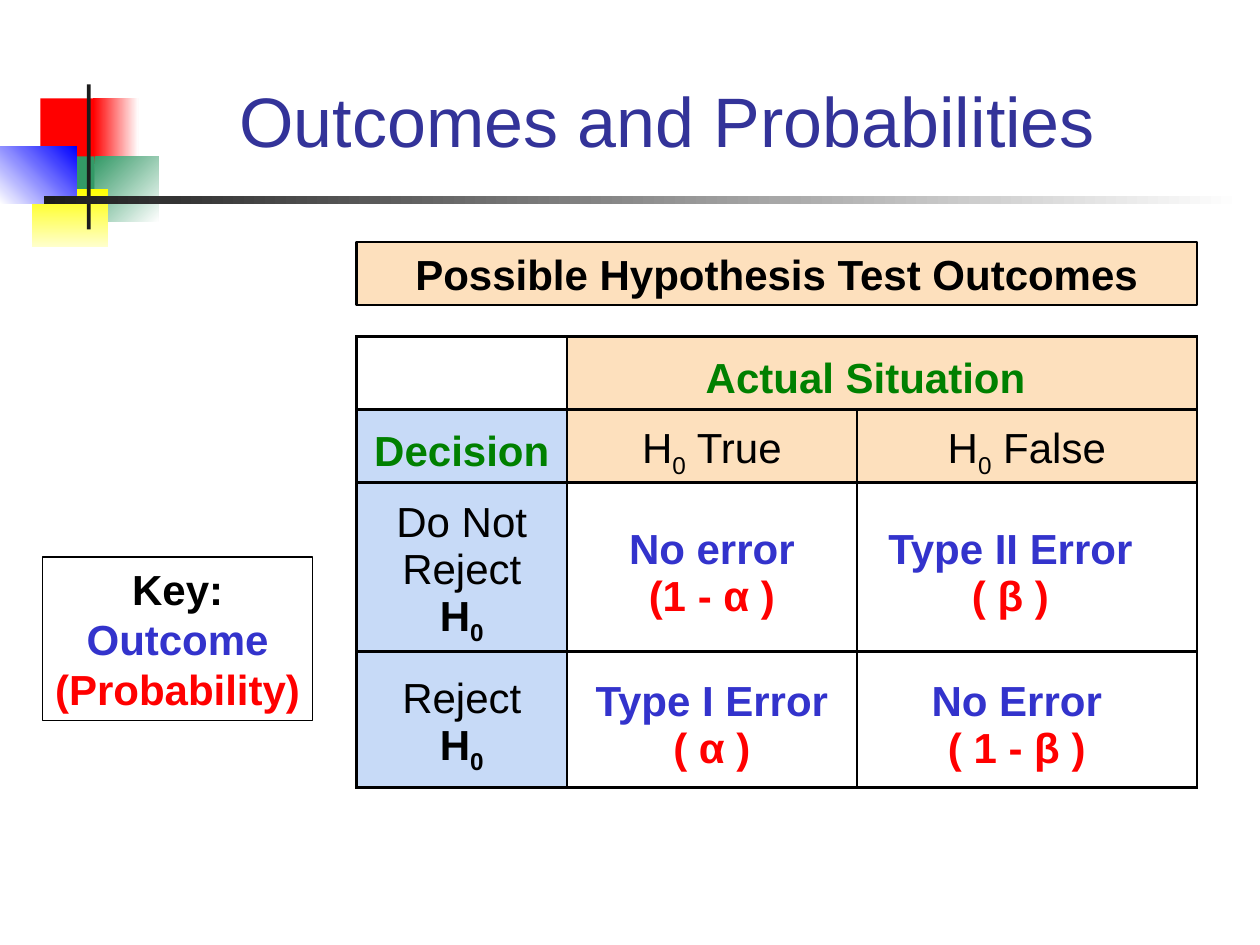
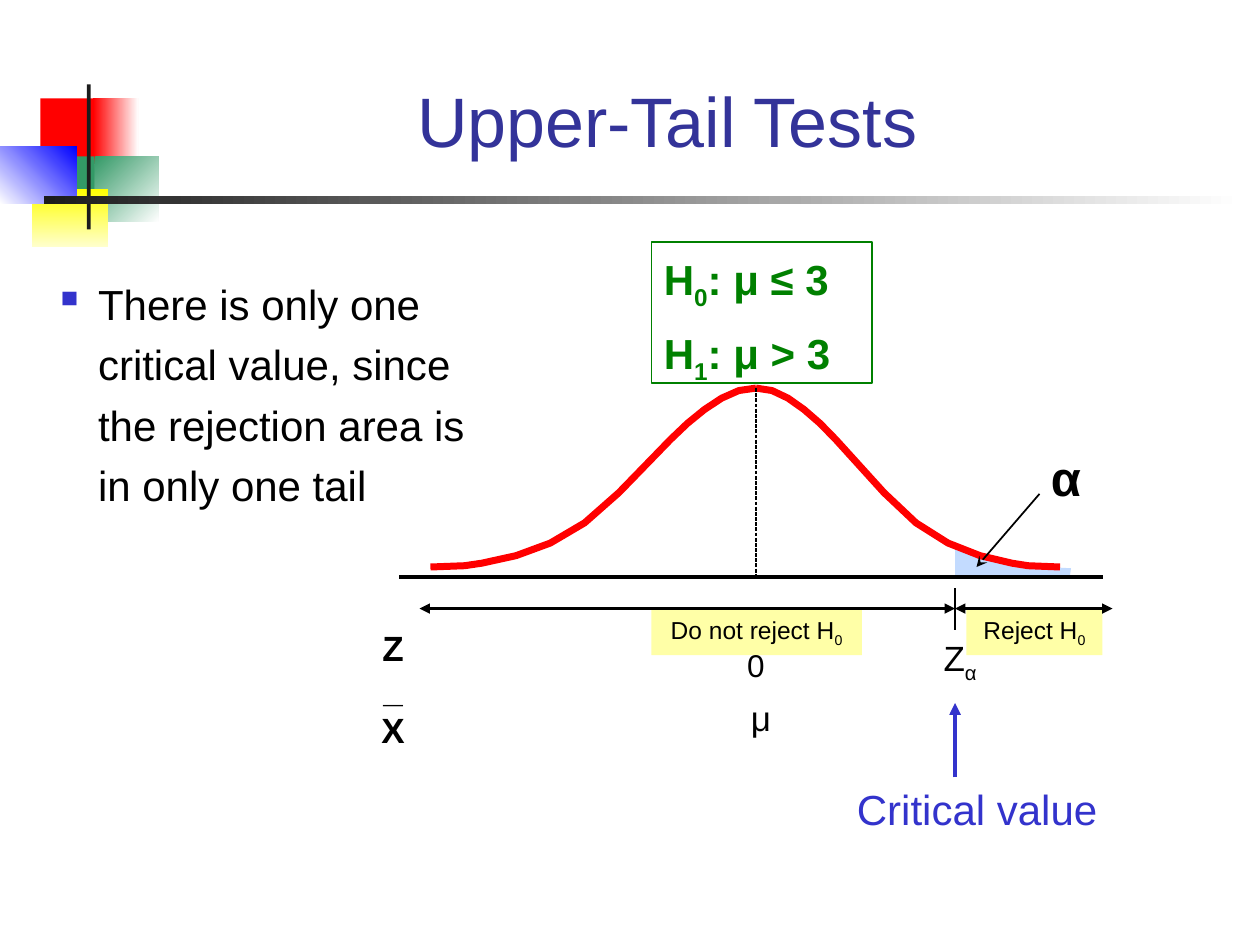
from lxml.etree import SubElement
from pptx import Presentation
from pptx.dml.color import RGBColor
from pptx.enum.dml import MSO_LINE as Dash
from pptx.enum.shapes import MSO_CONNECTOR as Conn, MSO_SHAPE as Shape
from pptx.enum.text import MSO_ANCHOR as Anchor, MSO_AUTO_SIZE as Fit, PP_ALIGN as Align
from pptx.oxml.ns import qn
from pptx.util import Inches, Pt

FONT = "Arial"
HUES = {
    "title": "333399", "ink": "000000", "blue": "3333CC", "red": "FF0000",
    "green": "008000", "peach": "FDE0BD", "sky": "C7DAF7", "white": "FFFFFF",
    "note": "FFFFA7", "tail": "C3DBFF", "dark": "1C1C1C", "leaf": "339966",
    "sun": "FFFF00", "cream": "FFFFCC", "royal": "0000FF",
}

# Shared band: left, top, width, height, colour(s), clockwise angle
BAND = [
    (0.32, 0.78, 0.48, 0.52, ["red"], 0),
    (0.74, 0.78, 0.36, 0.52, ["red", "white"], 0),
    (0.75, 1.24, 0.51, 0.52, ["leaf", "white"], 45),
    (0.43, 1.24, 0.32, 0.52, ["leaf"], 0),
    (0.25, 1.5, 0.61, 0.46, ["sun", "cream"], 90),
    (0, 1.16, 0.61, 0.46, ["white", "royal"], 315),
    (0.69, 0.67, 0.03, 1.15, ["dark"], 0),
    (0.35, 1.56, 9.51, 0.06, ["dark", "white"], 0),
]

# Text lines are (runs, colour, bold); a run that starts with ~ is a subscript
BANNER = [(["Possible Hypothesis Test Outcomes"], "ink", True)]
KEY = [(["Key:"], "ink", True), (["Outcome"], "blue", True),
       (["(Probability)"], "red", True)]
NULL = (["H", "~0"], "ink", True)


def result(name, odds):
    return [([name], "blue", True), ([odds], "red", True)]


# Outcome table: each cell is (fill, extra right margin, lines)
COLS = [1.67, 2.3, 2.7]
ROWS = [0.58, 0.58, 1.34, 1.08]
CELLS = [
    [("white", 0, []),
     ("peach", 0.26, [(["Actual Situation"], "green", True)]),
     ("peach", 0, [])],
    [("sky", 0, [(["Decision"], "green", True)]),
     ("peach", 0, [(["H", "~0", " True"], "ink", False)]),
     ("peach", 0, [(["H", "~0", " False"], "ink", False)])],
    [("sky", 0, [(["Do Not"], "ink", False), (["Reject"], "ink", False), NULL]),
     ("white", 0, result("No error", "(1 - α )")),
     ("white", 0.26, result("Type II Error", "( β )"))],
    [("sky", 0, [(["Reject"], "ink", False), NULL]),
     ("white", 0, result("Type I Error", "( α )")),
     ("white", 0.16, result("No Error", "( 1 - β )"))],
]

# Upper-tail curve: steps away from the mean, heights, step width per side
MEAN, CUT, BASE, ARROW = 6, 7.58, 4.58, 4.83
STEPS = [19, 17, 16, 15, 14, 13, 12, 10, 8, 6, 5, 4, 3, 2, 1, 0]
YS = [4.5, 4.49, 4.47, 4.44, 4.41, 4.36, 4.31, 4.15,
      3.91, 3.63, 3.49, 3.36, 3.25, 3.16, 3.1, 3.08]
SIDES = [-0.136, 0.127]
TAIL = [(8.49, BASE), (8.5, 4.51), (8.1, 4.49), (7.83, 4.42),
        (7.71, 4.4), (CUT, 4.33), (CUT, BASE)]
HYPS = [(["H", "~0", ": μ ≤ 3"], "green", True),
        (["H", "~1", ": μ > 3"], "green", True)]
POINT = ("There is only one critical value, since the rejection area "
         "is in only one tail")

# Yellow labels: place, runs
NOTES = [((7.67, ARROW, 1.08, 0.37), ["Reject H", "~0"]),
         ((5.17, ARROW, 1.67, 0.37), ["Do not reject H", "~0"])]
# Lines: from, to, colour, width, head, tail, dash
LINES = [
    ((3.17, BASE), (8.75, BASE), "ink", 2, None, None, None),
    ((8.25, 3.92), (7.75, 4.5), "ink", 1, None, "stealth", None),
    ((MEAN, YS[-1]), (MEAN, BASE), "ink", 0.75, None, None, Dash.SQUARE_DOT),
    ((CUT, 4.67), (CUT, 5), "ink", 1.5, None, None, None),
    ((CUT, ARROW), (8.83, ARROW), "ink", 1.5, "triangle", "triangle", None),
    ((3.33, ARROW), (CUT, ARROW), "ink", 1.5, "triangle", "triangle", None),
    ((CUT, 6.17), (CUT, 5.58), "blue", 2.25, None, "triangle", None),
]
# Loose marks: place, runs, size, colour, bold
MARKS = [
    ((8.17, 3.5, 0.58, 0.56), ["α"], 28, "ink", True),
    ((7.33, 5, 0.58, 0.48), ["Z", "~α"], 20, "ink", False),
    ((5.75, 5.08, 0.5, 0.4), ["0"], 18, "ink", False),
    ((5.75, 5.48, 0.58, 0.44), ["μ"], 20, "ink", False),
    ((6.67, 6.17, 2.17, 0.5), ["Critical value"], 24, "blue", False),
    ((2.83, 4.92, 0.58, 0.44), ["Z"], 20, "ink", True),
    ((2.83, 5.57, 0.58, 0.44), ["X"], 20, "ink", True),
    ((2.83, 5.25, 0.58, 0.44), ["_"], 20, "ink", True),
]


def rgb(name):
    return RGBColor.from_string(HUES[name])


def inch(nums):
    return [Inches(n) for n in nums]


def write(frame, lines, size=24, align=Align.CENTER):
    """Fill a text frame run by run, one paragraph per line."""
    for i, (runs, hue, bold) in enumerate(lines):
        para = frame.add_paragraph() if i else frame.paragraphs[0]
        para.alignment = align
        for text in runs:
            run = para.add_run()
            run.text = text.lstrip("~")
            font = run.font
            font.name, font.size, font.bold = FONT, Pt(size), bold
            font.color.rgb = rgb(hue)
            if text.startswith("~"):
                run._r.get_or_add_rPr().set("baseline", "-25000")


def paint(shape, fill=None, line=None, width=0.75):
    shape.shadow.inherit = False
    if fill:
        shape.fill.solid()
        shape.fill.fore_color.rgb = rgb(fill)
    else:
        shape.fill.background()
    if line:
        shape.line.color.rgb = rgb(line)
        shape.line.width = Pt(width)
    else:
        shape.line.fill.background()


def panel(slide, at, lines, fill=None, line=None, width=0.75, **text):
    box = slide.shapes.add_shape(Shape.RECTANGLE, *inch(at))
    paint(box, fill, line, width)
    box.text_frame.word_wrap = True
    box.text_frame.vertical_anchor = Anchor.TOP
    write(box.text_frame, lines, **text)
    return box


def label(slide, at, lines, **text):
    box = slide.shapes.add_textbox(*inch(at))
    box.text_frame.word_wrap = True
    write(box.text_frame, lines, **text)
    return box


def trace(slide, spots, close):
    dots = [inch(spot) for spot in spots]
    pen = slide.shapes.build_freeform(*dots[0])
    pen.add_line_segments(dots[1:], close=close)
    return pen.convert_to_shape()


def rule(slide, start, end, hue, width, head, tail, dash):
    link = slide.shapes.add_connector(Conn.STRAIGHT, *inch(start + end))
    link.line.color.rgb = rgb(hue)
    link.line.width = Pt(width)
    if dash:
        link.line.dash_style = dash
    props = link.element.spPr
    for tag, kind in (("a:headEnd", head), ("a:tailEnd", tail)):
        if kind:
            SubElement(props.find(qn("a:ln")), qn(tag), type=kind)
    SubElement(props, qn("a:effectLst"))


def start(deck, title):
    """Add a slide with the shared title style."""
    slide = deck.slides.add_slide(deck.slide_layouts[5])
    head = slide.shapes.title
    head.left, head.top, head.width, head.height = inch((1.26, 0.25, 8.07, 1.08))
    frame = head.text_frame
    frame.auto_size, frame.vertical_anchor = Fit.NONE, Anchor.BOTTOM
    write(frame, [([title], "title", False)], size=40)
    return slide


def dress(deck, slide):
    """Draw the band and move it to the layout that all slides use."""
    tree = deck.slide_layouts[5].shapes.element
    for *at, hues, angle in BAND:
        box = slide.shapes.add_shape(Shape.RECTANGLE, *inch(at))
        paint(box, hues[0])
        if len(hues) == 2:
            box.fill.gradient()
            box.fill.gradient_angle = (360 - angle) % 360
            for stop, hue in zip(box.fill.gradient_stops, hues):
                stop.color.rgb = rgb(hue)
        tree.append(box.element)


def edge(cell):
    props = cell._tc.get_or_add_tcPr()
    for side in "LRTB":
        line = SubElement(props, qn("a:ln" + side), w=str(Pt(1.5)))
        SubElement(SubElement(line, qn("a:solidFill")), qn("a:srgbClr"),
                   val=HUES["ink"])


def grid(slide):
    at = (2.83, 2.67, sum(COLS), sum(ROWS))
    table = slide.shapes.add_table(len(ROWS), len(COLS), *inch(at)).table
    table.first_row = table.horz_banding = False
    for col, width in zip(table.columns, COLS):
        col.width = Inches(width)
    for r, row in enumerate(CELLS):
        table.rows[r].height = Inches(ROWS[r])
        for c, (fill, shift, lines) in enumerate(row):
            cell = table.cell(r, c)
            edge(cell)
            cell.fill.solid()
            cell.fill.fore_color.rgb = rgb(fill)
            cell.vertical_anchor = Anchor.MIDDLE
            cell.margin_left, cell.margin_right = inch((0.02, 0.02 + shift))
            cell.margin_top, cell.margin_bottom = inch((0.1, 0))
            write(cell.text_frame, lines)
    table.cell(0, 1).merge(table.cell(0, 2))


def outcomes(slide):
    panel(slide, (2.83, 1.92, 6.67, 0.5), BANNER, "peach", "ink", 1.5)
    grid(slide)
    key = panel(slide, (0.34, 4.42, 2.14, 1.3), KEY, None, "ink")
    key.text_frame.word_wrap = False


def upper(slide):
    # Labels, shaded tail and curve
    for at, runs in NOTES:
        panel(slide, at, [(runs, "ink", False)], "note", size=14)
    paint(trace(slide, TAIL, True), "tail")
    for step in SIDES:
        spots = [(MEAN + n * step, y) for n, y in zip(STEPS, YS)]
        paint(trace(slide, spots, False), None, "red", 4)

    # Axis, arrows and marks
    for line in LINES:
        rule(slide, *line)
    for at, runs, size, hue, bold in MARKS:
        label(slide, at, [(runs, hue, bold)], size=size)

    # Hypotheses
    box = panel(slide, (5.17, 1.92, 1.75, 1.12), HYPS, None, "green",
                align=Align.LEFT)
    for para, gap in zip(box.text_frame.paragraphs, (1.1, 0.7)):
        para.line_spacing, para.space_before = gap, Pt(15)

    # Bullet point
    body = label(slide, (0.33, 2.08, 3.67, 2.42), [([POINT], "ink", False)],
                 align=Align.LEFT)
    para = body.text_frame.paragraphs[0]
    para.line_spacing, para.space_before = 1.2, Pt(9)
    props = para._p.get_or_add_pPr()
    props.set("marL", str(Inches(0.35)))
    props.set("indent", str(Inches(-0.35)))
    SubElement(SubElement(props, qn("a:buClr")), qn("a:srgbClr"), val=HUES["blue"])
    SubElement(props, qn("a:buChar"), char="▪")


def main():
    deck = Presentation()
    deck.slide_width, deck.slide_height = inch((10, 7.5))
    first = start(deck, "Outcomes and Probabilities")
    dress(deck, first)
    outcomes(first)
    upper(start(deck, "Upper-Tail Tests"))
    deck.save("out.pptx")


if __name__ == "__main__":
    main()
